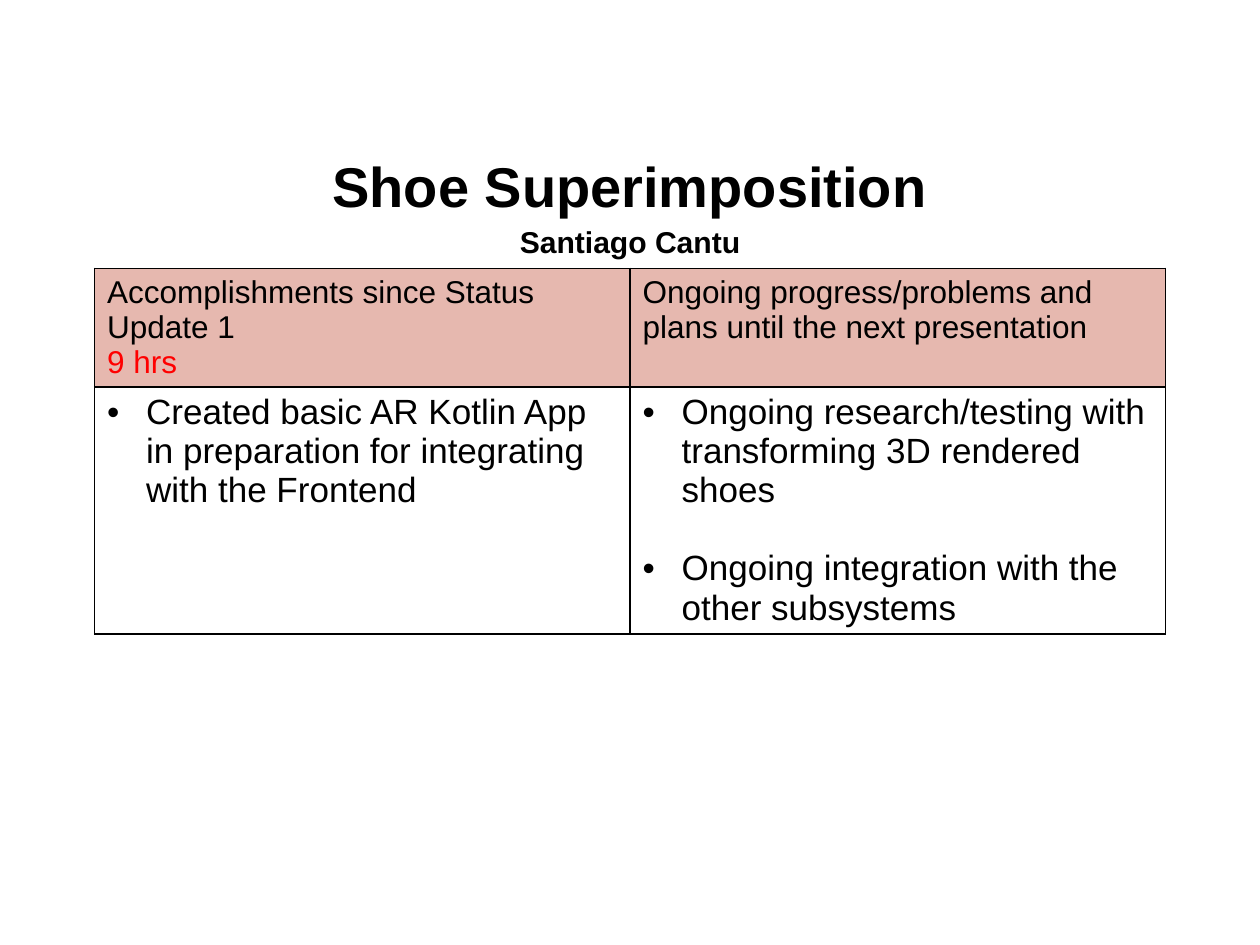
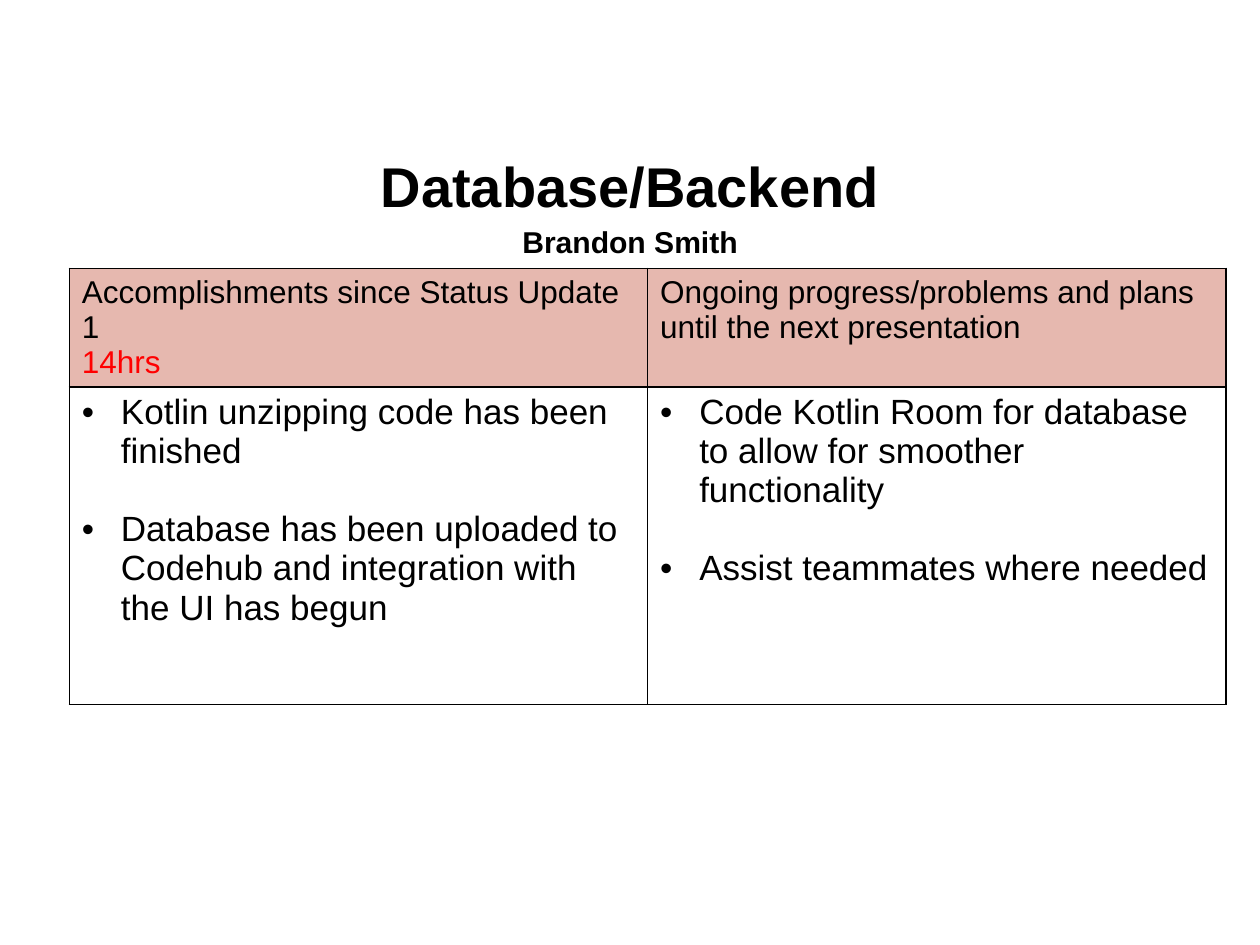
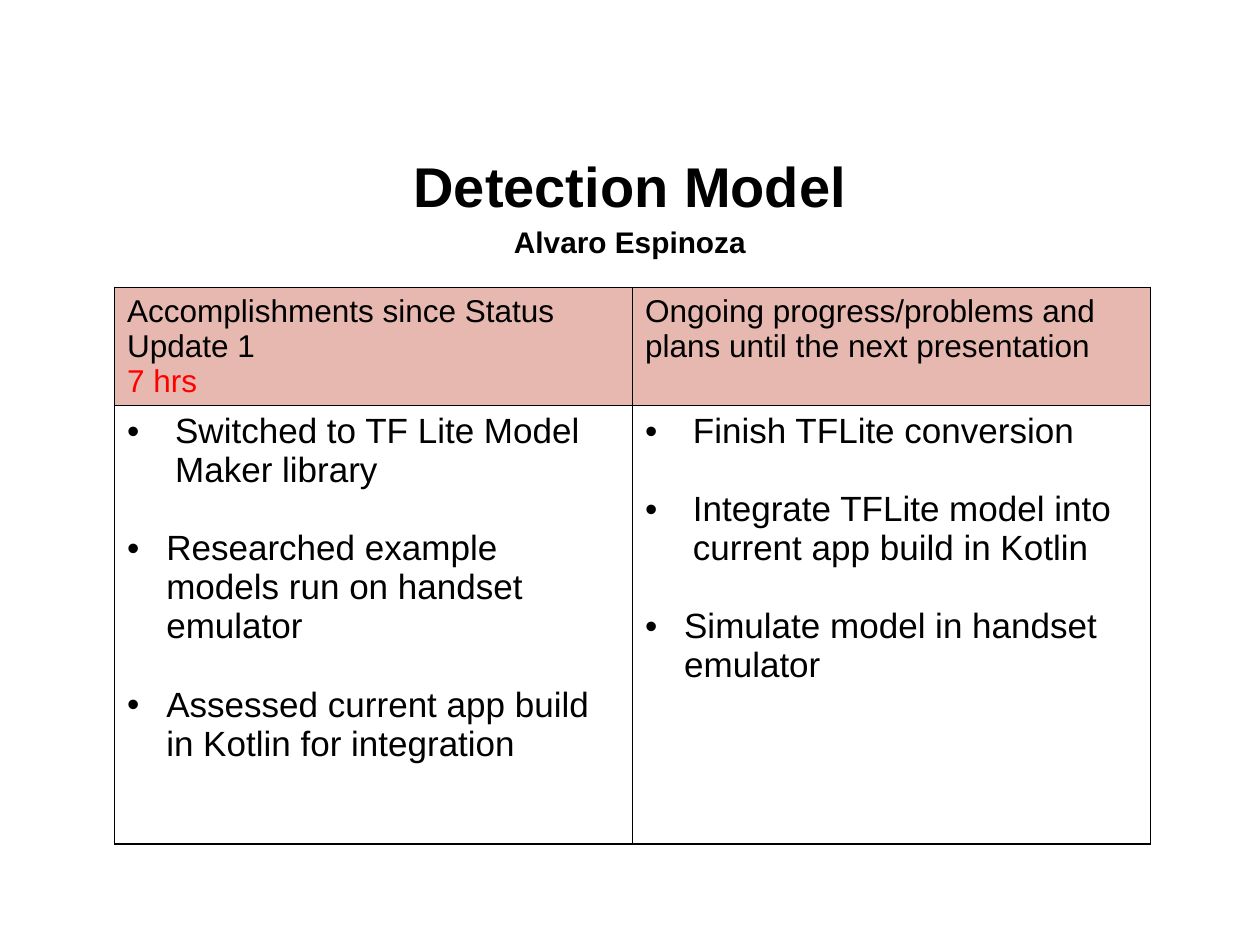
"""Build three status slides, each with a two-line title and a progress table."""
from lxml import etree
from pptx import Presentation
from pptx.dml.color import RGBColor
from pptx.enum.text import MSO_ANCHOR, MSO_AUTO_SIZE, PP_ALIGN
from pptx.oxml.ns import qn
from pptx.util import Inches, Pt

CENTER, MIDDLE, NO_AUTOFIT = PP_ALIGN.CENTER, MSO_ANCHOR.MIDDLE, MSO_AUTO_SIZE.NONE
FONT = "Arial"
BLACK, RED, PINK = "000000", "FF0000", "E6B8AF"
TITLE_ONLY = 5
TITLE_BOX = (0.5, 1.15, 9, 0.88)
HEADER_HEIGHT = 0.94
BULLET_GAP = 22.3
NARROW, WIDE = 0.31, 0.38

DONE_HEADING = "Accomplishments since Status Update 1"
PLANS_HEADING = "Ongoing progress/problems and plans until the next presentation"

UPDATES = [
    {
        "topic": "Shoe Superimposition", "member": "Santiago Cantu", "member_size": 17.2,
        "hours": "9 hrs",
        "left": 0.75, "top": 2.13, "column_width": 4.25, "body_height": 1.96,
        "done": [
            (NARROW, "Created basic AR Kotlin App in preparation for integrating with the Frontend"),
        ],
        "plans": [
            (NARROW, "Ongoing research/testing with transforming 3D rendered shoes"),
            (NARROW, "Ongoing integration with the other subsystems"),
        ],
    },
    {
        "topic": "Database/Backend", "member": "Brandon Smith", "member_size": 17.2,
        "hours": "14hrs",
        "left": 0.55, "top": 2.13, "column_width": 4.59, "body_height": 2.52,
        "done": [
            (NARROW, "Kotlin unzipping code has been finished"),
            (NARROW, "Database has been uploaded to Codehub and integration with the UI has begun"),
        ],
        "plans": [
            (NARROW, "Code Kotlin Room for database to allow for smoother functionality"),
            (NARROW, "Assist teammates where needed"),
        ],
    },
    {
        "topic": "Detection Model", "member": "Alvaro Espinoza", "member_size": 17,
        "hours": "7 hrs",
        "left": 0.91, "top": 2.28, "column_width": 4.11, "body_height": 3.48,
        "done": [
            (WIDE, "Switched to TF Lite Model Maker library"),
            (NARROW, "Researched example models run on handset emulator"),
            (NARROW, "Assessed current app build in Kotlin for integration"),
        ],
        "plans": [
            (WIDE, "Finish TFLite conversion"),
            (WIDE, "Integrate TFLite model into current app build in Kotlin"),
            (NARROW, "Simulate model in handset emulator"),
        ],
    },
]


def rgb(color):
    """Turn a hex string into a colour."""
    return RGBColor.from_string(color)


def add_run(paragraph, text, size, color=BLACK, bold=False):
    """Append a formatted run to a paragraph."""
    run = paragraph.add_run()
    run.text = text
    run.font.name, run.font.size, run.font.bold = FONT, Pt(size), bold
    run.font.color.rgb = rgb(color)


def paragraphs(frame, count):
    """Return the frame's first paragraph and enough new ones to make the count."""
    return [frame.paragraphs[0]] + [frame.add_paragraph() for _ in range(count - 1)]


def add_title(slide, update):
    """Fill the title placeholder with the topic and the team member."""
    title = slide.shapes.title
    title.left, title.top, title.width, title.height = map(Inches, TITLE_BOX)
    frame = title.text_frame
    frame.auto_size, frame.vertical_anchor, frame.word_wrap = NO_AUTOFIT, MIDDLE, True
    lines = [(update["topic"], 32), (update["member"], update["member_size"])]
    for paragraph, (text, size) in zip(paragraphs(frame, len(lines)), lines):
        paragraph.alignment, paragraph.line_spacing = CENTER, 1.15
        add_run(paragraph, text, size, bold=True)


def add_borders(cell):
    """Draw a thin black line on all four sides of a cell."""
    properties = cell._tc.get_or_add_tcPr()
    for side in ("lnL", "lnR", "lnT", "lnB"):
        line = etree.SubElement(properties, qn(f"a:{side}"), w=str(Pt(1)))
        fill = etree.SubElement(line, qn("a:solidFill"))
        etree.SubElement(fill, qn("a:srgbClr"), val=BLACK)


def fill_header(cell, lines):
    """Write coloured heading lines on a pink cell."""
    add_borders(cell)
    cell.fill.solid()
    cell.fill.fore_color.rgb = rgb(PINK)
    for paragraph, (text, color) in zip(paragraphs(cell.text_frame, len(lines)), lines):
        add_run(paragraph, text, 18, color)


def fill_body(cell, items):
    """Write a spaced bullet list in an unfilled cell."""
    add_borders(cell)
    cell.fill.background()
    for index, paragraph in enumerate(paragraphs(cell.text_frame, len(items))):
        indent, text = items[index]
        properties = paragraph._p.get_or_add_pPr()
        properties.set("marL", str(Inches(indent)))
        properties.set("indent", str(-Inches(indent)))
        etree.SubElement(properties, qn("a:buFont"), typeface=FONT)
        etree.SubElement(properties, qn("a:buChar"), char="•")
        if index:
            paragraph.space_before = Pt(BULLET_GAP)
        add_run(paragraph, text, 20)


def add_progress_table(slide, update):
    """Add the table of accomplishments and plans."""
    width, body_height = update["column_width"], update["body_height"]
    table = slide.shapes.add_table(
        2, 2, Inches(update["left"]), Inches(update["top"]),
        Inches(2 * width), Inches(HEADER_HEIGHT + body_height)).table
    table.first_row = table.horz_banding = False
    for column in table.columns:
        column.width = Inches(width)
    for row, height in zip(table.rows, (HEADER_HEIGHT, body_height)):
        row.height = Inches(height)
    fill_header(table.cell(0, 0), [(DONE_HEADING, BLACK), (update["hours"], RED)])
    fill_header(table.cell(0, 1), [(PLANS_HEADING, BLACK)])
    fill_body(table.cell(1, 0), update["done"])
    fill_body(table.cell(1, 1), update["plans"])


def main():
    """Build and save the presentation."""
    deck = Presentation()
    deck.slide_width, deck.slide_height = Inches(10), Inches(7.5)
    for update in UPDATES:
        slide = deck.slides.add_slide(deck.slide_layouts[TITLE_ONLY])
        add_title(slide, update)
        add_progress_table(slide, update)
    deck.save("out.pptx")


if __name__ == "__main__":
    main()
